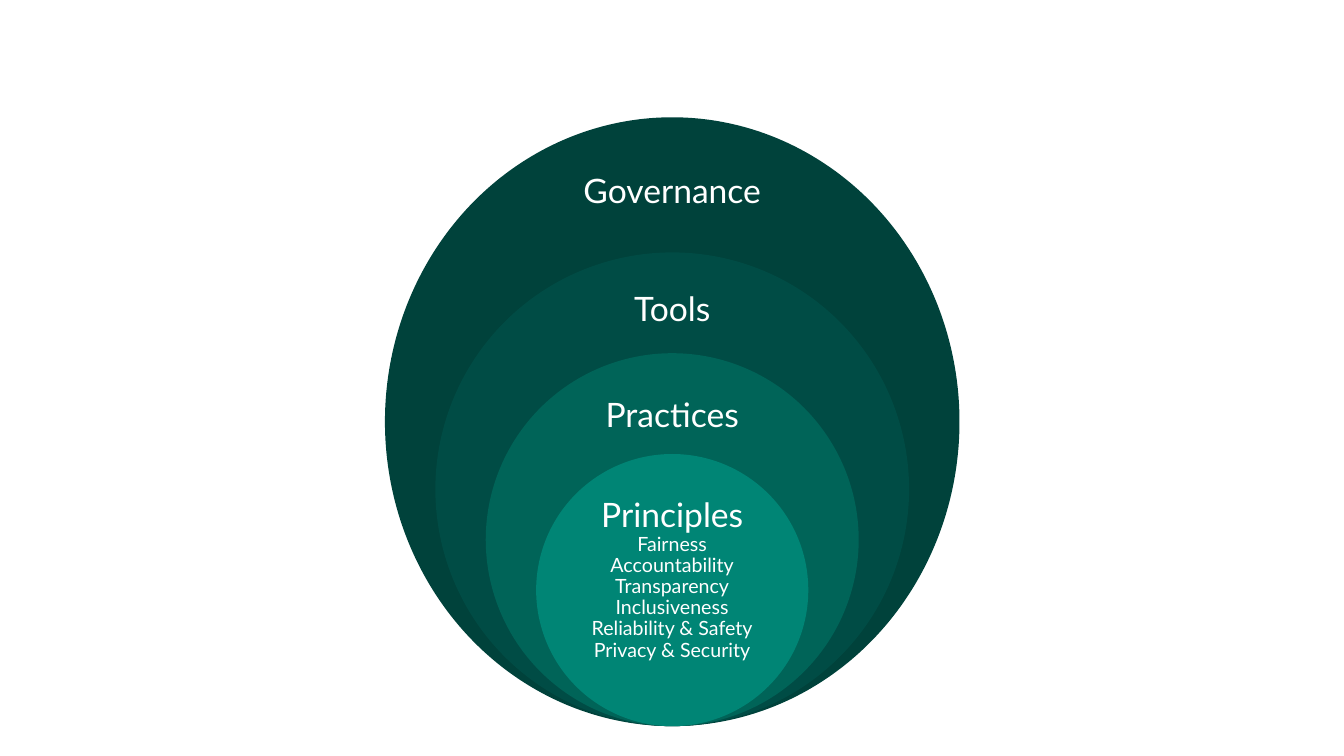
"""Build a slide of nested circles, from governance down to principles."""
from pptx import Presentation
from pptx.dml.color import RGBColor
from pptx.enum import shapes, text
from pptx.util import Pt

COLORS = {
    "governance": "00423B",
    "tools": "004C45",
    "practices": "006458",
    "principles": "008575",
    "label": "FFFFFF",
}
PRINCIPLES = [
    "Fairness",
    "Accountability",
    "Transparency",
    "Inclusiveness",
    "Reliability & Safety",
    "Privacy & Security",
]
LAYERS = [
    ("Governance", 410.4, 434.9, 360, []),
    ("Tools", 338.4, 338.4, 288, []),
    ("Practices", 266.4, 266.4, 208.8, []),
    ("Principles", 194.4, 194.4, 0, PRINCIPLES),
]
SLIDE_WIDTH, SLIDE_HEIGHT = 960, 540
CENTER_X, BASELINE = 480.2, 518.7
FONT = "Lato"


def add_layer(slide, title, width, height, inset_bottom, details):
    layer = slide.shapes.add_shape(
        shapes.MSO_SHAPE.OVAL,
        Pt(CENTER_X - width / 2), Pt(BASELINE - height), Pt(width), Pt(height),
    )
    layer.shadow.inherit = False
    layer.fill.solid()
    layer.fill.fore_color.rgb = RGBColor.from_string(COLORS[title.lower()])
    layer.line.fill.background()

    label = layer.text_frame
    label.word_wrap = True
    label.vertical_anchor = text.MSO_ANCHOR.TOP
    label.margin_left = label.margin_top = label.margin_right = 0
    label.margin_bottom = Pt(inset_bottom)
    for index, wording in enumerate([title, *details]):
        line = label.add_paragraph() if index else label.paragraphs[0]
        line.text = wording
        line.alignment = text.PP_ALIGN.CENTER
        line.font.name = FONT
        line.font.size = Pt(14 if index else 24)
        line.font.color.rgb = RGBColor.from_string(COLORS["label"])
        if index:
            line.line_spacing = 0.9


def main():
    deck = Presentation()
    deck.slide_width, deck.slide_height = Pt(SLIDE_WIDTH), Pt(SLIDE_HEIGHT)
    slide = deck.slides.add_slide(deck.slide_layouts[6])
    for layer in LAYERS:
        add_layer(slide, *layer)
    deck.save("out.pptx")


if __name__ == "__main__":
    main()
